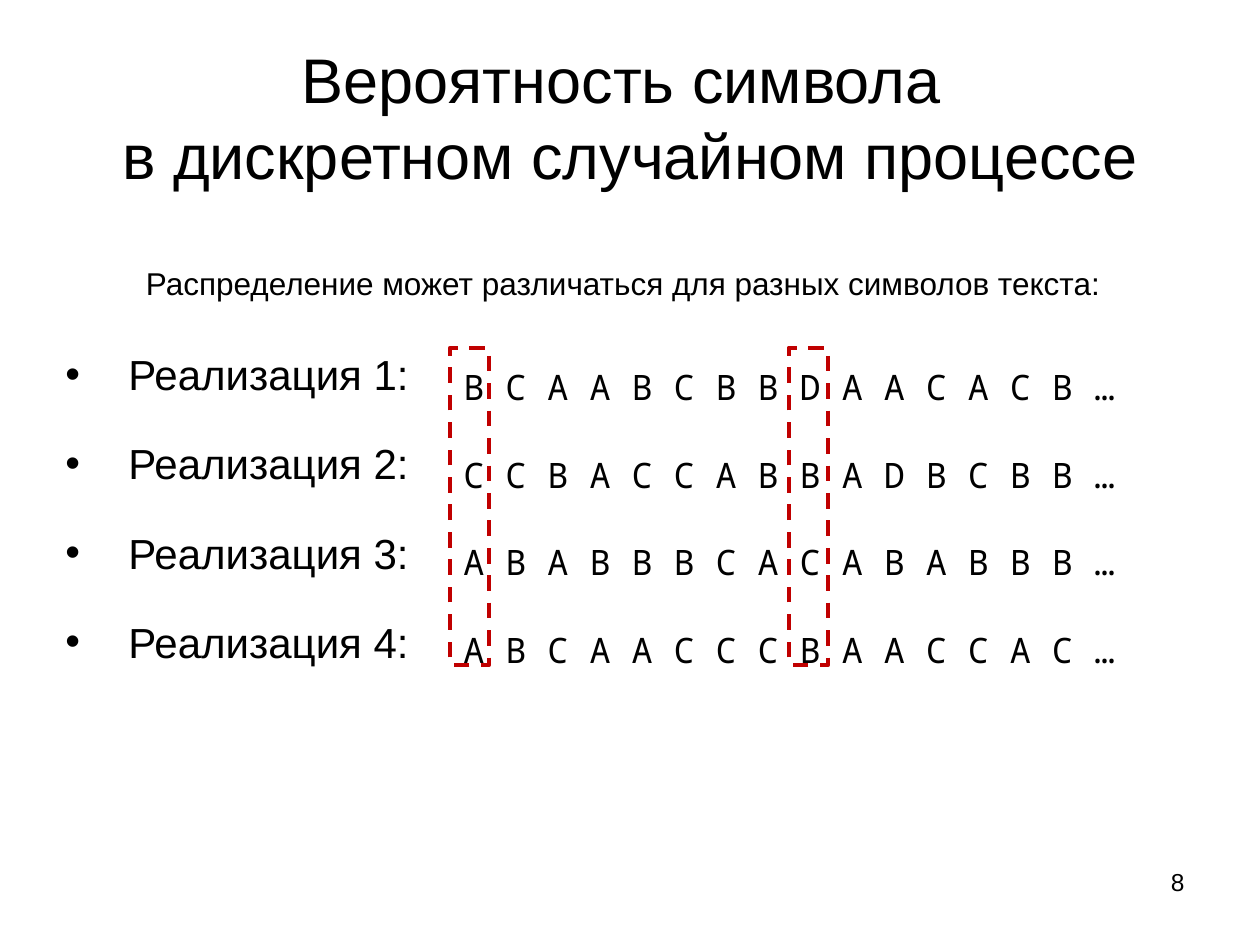
"""Build a slide on symbol probability in a discrete random process."""
import pptx
import pptx.util
import pptx.dml.color
import pptx.enum.dml
import pptx.enum.shapes
import pptx.enum.text
from lxml import etree

Inch, Pt = pptx.util.Inches, pptx.util.Pt
Align, Mid = pptx.enum.text.PP_ALIGN, pptx.enum.text.MSO_ANCHOR.MIDDLE
WIDE, HIGH = 10, 7.5
BLACK, RED = "000000", "C00000"

TITLE = "Вероятность символа \vв дискретном случайном процессе"
NOTE = "Распределение может различаться для разных символов текста:"
ROWS = [
    ("Реализация 1:", "B C A A B C B B D A A C A C B …"),
    ("Реализация 2:", "C C B A C C A B B A D B C B B …"),
    ("Реализация 3:", "A B A B B B C A C A B A B B B …"),
    ("Реализация 4:", "A B C A A C C C B A A C C A C …"),
]
MARKS = [3.57, 6.26]
TOP, TALL = 2.52, 0.66 * HIGH


def tint(code):
    return pptx.dml.color.RGBColor.from_string(code)


def text(slide, lines, box, size, font="Arial", align=Align.LEFT, anchor=None,
         lead=None, gap=0, hang=0, mark=None, wrap=True):
    frame = slide.shapes.add_textbox(*map(Inch, box)).text_frame
    frame.word_wrap = wrap
    if anchor is not None:
        frame.vertical_anchor = anchor
    for num, line in enumerate(lines):
        para = frame.add_paragraph() if num else frame.paragraphs[0]
        para.text = line
        para.alignment = align
        if lead:
            para.line_spacing = Pt(lead)
        if num and gap:
            para.space_before = Pt(gap)
        if hang:
            prop = para._p.get_or_add_pPr()
            prop.set("marL", str(Inch(hang)))
            prop.set("indent", str(-Inch(hang)))
        if mark:
            space = prop.nsmap["a"]
            face = etree.SubElement(prop, f"{{{space}}}buFont")
            face.set("typeface", "Arial")
            etree.SubElement(prop, f"{{{space}}}buChar").set("char", mark)
        for run in para.runs:
            run.font.size = Pt(size)
            run.font.name = font
            run.font.color.rgb = tint(BLACK)


def frame(slide, left):
    kind = pptx.enum.shapes.MSO_SHAPE.RECTANGLE
    rect = slide.shapes.add_shape(kind, *map(Inch, (left, 2.76, 0.31, 2.52)))
    rect.shadow.inherit = False
    rect.fill.background()
    rect.line.color.rgb = tint(RED)
    rect.line.width = Pt(2.25)
    rect.line.dash_style = pptx.enum.dml.MSO_LINE.DASH


def main():
    deck = pptx.Presentation()
    deck.slide_width, deck.slide_height = Inch(WIDE), Inch(HIGH)
    slide = deck.slides.add_slide(deck.slide_layouts[6])
    names, codes = zip(*ROWS)
    text(slide, [TITLE], (0.05 * WIDE, 0.04 * HIGH, 0.9 * WIDE, 1.25), 36,
         align=Align.CENTER, anchor=Mid, lead=43)
    text(slide, names, (0.42, TOP, 3.48, TALL), 24,
         lead=43, gap=8, hang=0.5, mark="•")
    text(slide, codes, (3.58, TOP, 5.84, TALL), 20, font="Noto Sans Mono",
         lead=48, gap=2, hang=0.38)
    for left in MARKS:
        frame(slide, left)
    text(slide, [NOTE], (1.06, 2.05, 7.87, 0.4), 18, wrap=False)
    text(slide, ["8"], (7.17, 6.83, 2.33, 0.52), 14, align=Align.RIGHT)
    deck.save("out.pptx")


if __name__ == "__main__":
    main()
